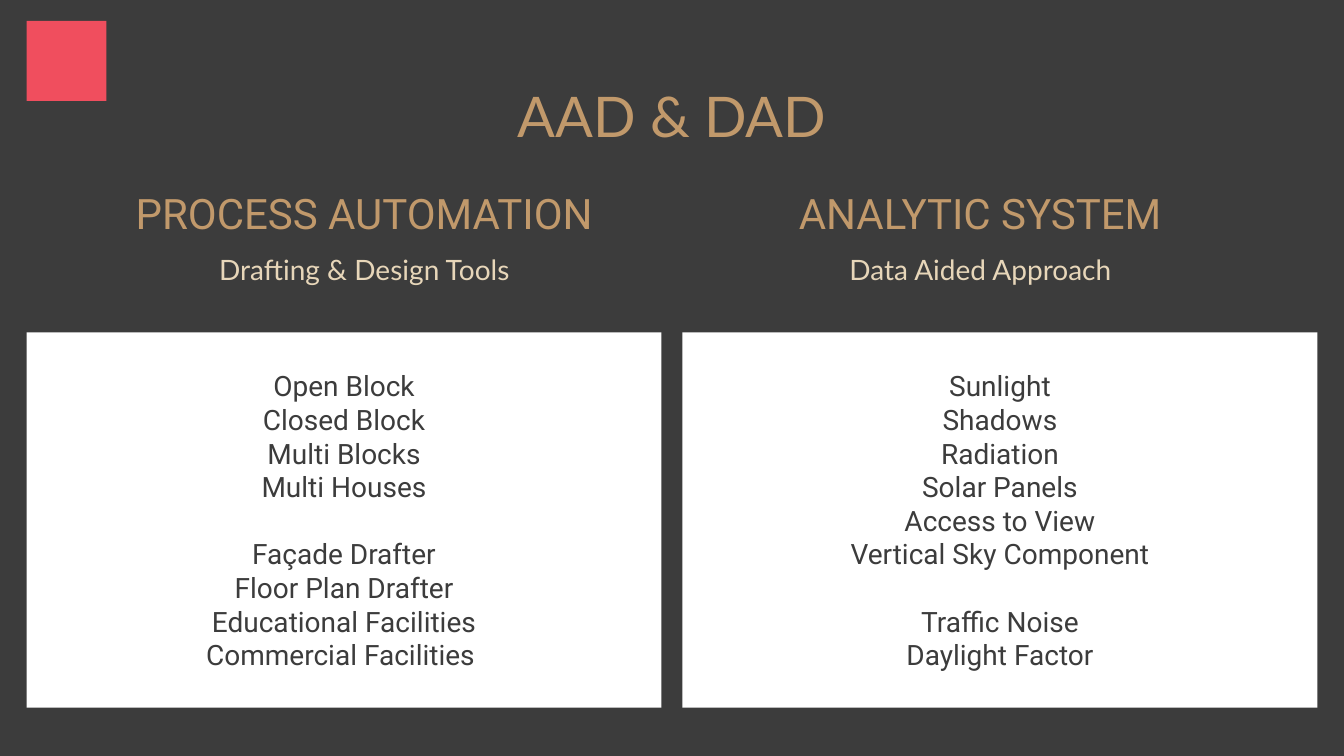
"""Build the AAD & DAD slide comparing process automation with analytic systems."""
from dataclasses import dataclass

from pptx import Presentation
from pptx.dml.color import RGBColor
from pptx.enum.shapes import MSO_SHAPE
from pptx.enum.text import MSO_ANCHOR, PP_ALIGN
from pptx.slide import Slide
from pptx.util import Pt

RECTANGLE = MSO_SHAPE.RECTANGLE
TOP = MSO_ANCHOR.TOP
CENTER = PP_ALIGN.CENTER

COLORS = {
    "dark": "3C3C3C",
    "gold": "C1996B",
    "cream": "E7D6B9",
    "white": "FFFFFF",
    "red": "F04E5E",
}
SLIDE_WIDTH, SLIDE_HEIGHT = 960, 540
COLUMN_WIDTH = 425.5
GROUP_GAP = 24


@dataclass(frozen=True)
class Box:
    left: float
    top: float
    width: float
    height: float


@dataclass(frozen=True)
class Style:
    font: str
    size: float
    color: str
    line_spacing: float = 1.0


@dataclass(frozen=True)
class Topic:
    heading: str
    tagline: str
    groups: tuple[tuple[str, ...], ...]
    heading_left: float
    panel_left: float
    list_left: float


TITLE = Style("Lato", 40, "gold", 0.9)
HEADING = Style("Roboto", 30, "gold", 0.9)
TAGLINE = Style("Lato", 20, "cream")
ITEM = Style("Roboto", 20, "dark")

TOPICS = (
    Topic(
        "PROCESS AUTOMATION",
        "Drafting & Design Tools",
        (
            ("Open Block", "Closed Block", "Multi Blocks", "Multi Houses"),
            ("Façade Drafter", "Floor Plan Drafter",
             "Educational Facilities", "Commercial Facilities "),
        ),
        47.5, 19, 33,
    ),
    Topic(
        "ANALYTIC SYSTEM",
        "Data Aided Approach",
        (
            ("Sunlight", "Shadows", "Radiation", "Solar Panels",
             "Access to View", "Vertical Sky Component"),
            ("Traffic Noise", "Daylight Factor"),
        ),
        487.5, 487.5, 501.5,
    ),
)


def rgb(name: str) -> RGBColor:
    return RGBColor.from_string(COLORS[name])


def draw_rectangle(slide: Slide, box: Box, color: str) -> None:
    rectangle = slide.shapes.add_shape(
        RECTANGLE, Pt(box.left), Pt(box.top), Pt(box.width), Pt(box.height))
    rectangle.shadow.inherit = False
    rectangle.fill.solid()
    rectangle.fill.fore_color.rgb = rgb(color)
    rectangle.line.fill.background()


def draw_text(slide: Slide, box: Box, style: Style,
              groups: tuple[tuple[str, ...], ...]) -> None:
    frame = slide.shapes.add_textbox(
        Pt(box.left), Pt(box.top), Pt(box.width), Pt(box.height)).text_frame
    frame.word_wrap = True
    frame.vertical_anchor = TOP
    for group_index, group in enumerate(groups):
        for line_index, line in enumerate(group):
            first = group_index == line_index == 0
            paragraph = frame.paragraphs[0] if first else frame.add_paragraph()
            paragraph.alignment = CENTER
            paragraph.line_spacing = style.line_spacing
            if group_index and not line_index:
                paragraph.space_before = Pt(GROUP_GAP)
            run = paragraph.add_run()
            run.text = line
            run.font.name = style.font
            run.font.size = Pt(style.size)
            run.font.color.rgb = rgb(style.color)


def draw_topic(slide: Slide, topic: Topic) -> None:
    draw_text(slide, Box(topic.heading_left, 134.5, COLUMN_WIDTH, 51),
              HEADING, ((topic.heading,),))
    draw_text(slide, Box(topic.heading_left, 177, COLUMN_WIDTH, 31.5),
              TAGLINE, ((topic.tagline,),))
    draw_rectangle(slide, Box(topic.panel_left, 237.5, 453.5, 268), "white")
    draw_text(slide, Box(topic.list_left, 260, COLUMN_WIDTH, 225),
              ITEM, topic.groups)


def main() -> None:
    deck = Presentation()
    deck.slide_width, deck.slide_height = Pt(SLIDE_WIDTH), Pt(SLIDE_HEIGHT)
    slide = deck.slides.add_slide(deck.slide_layouts[6])
    slide.background.fill.solid()
    slide.background.fill.fore_color.rgb = rgb("dark")
    draw_text(slide, Box(0, 60, SLIDE_WIDTH, 57), TITLE, (("AAD & DAD",),))
    for topic in TOPICS:
        draw_topic(slide, topic)
    draw_rectangle(slide, Box(19, 15, 57, 57), "red")
    deck.save("out.pptx")


if __name__ == "__main__":
    main()
